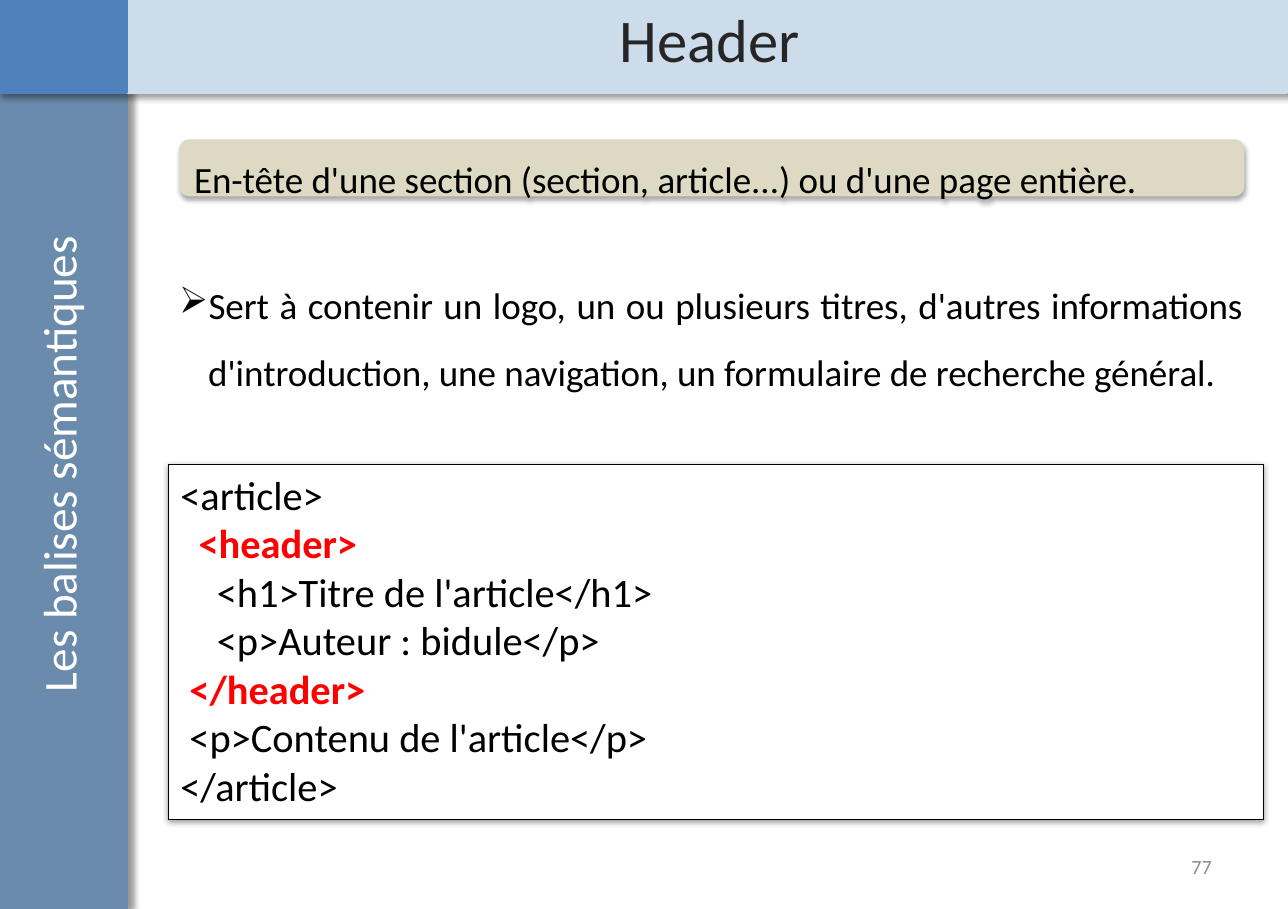
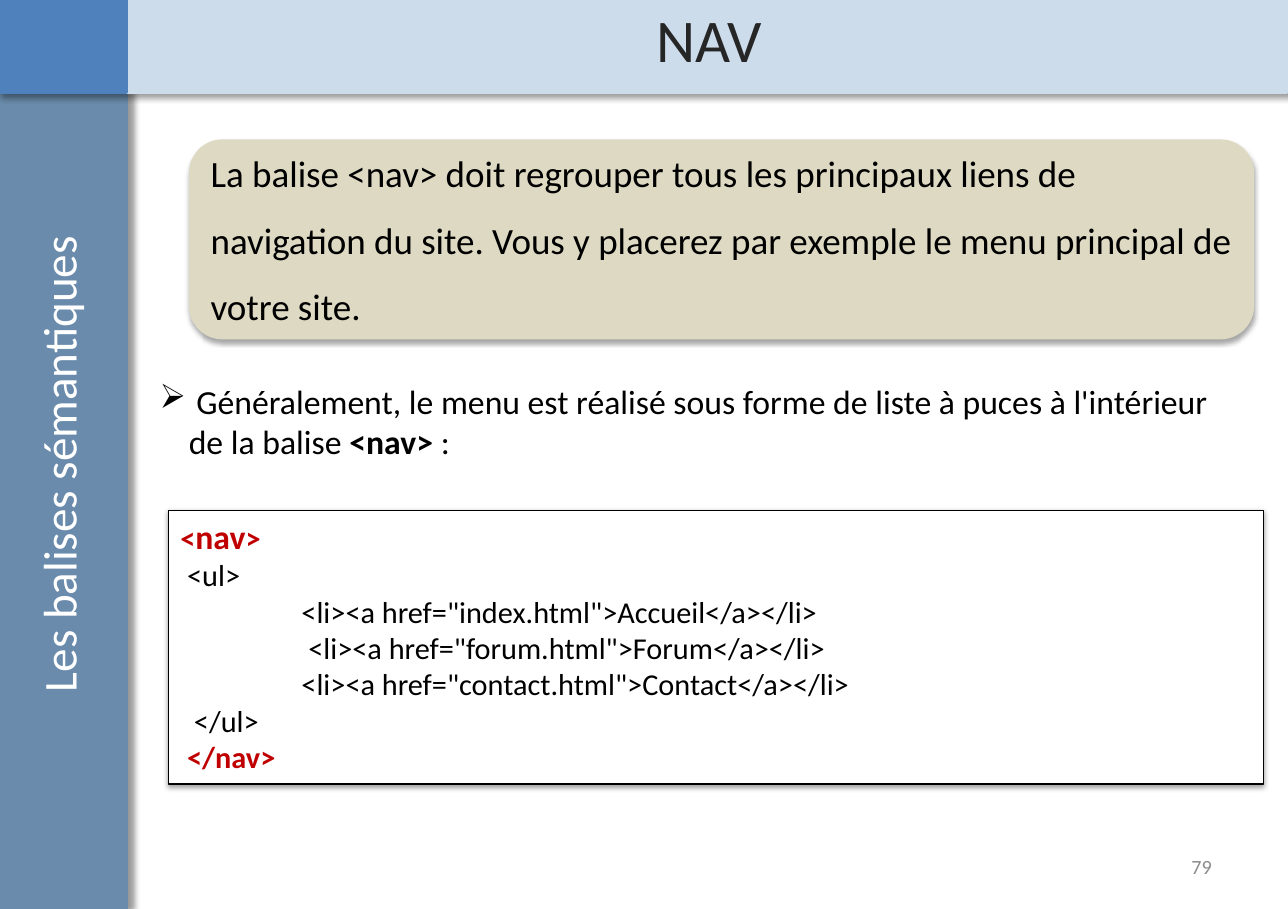
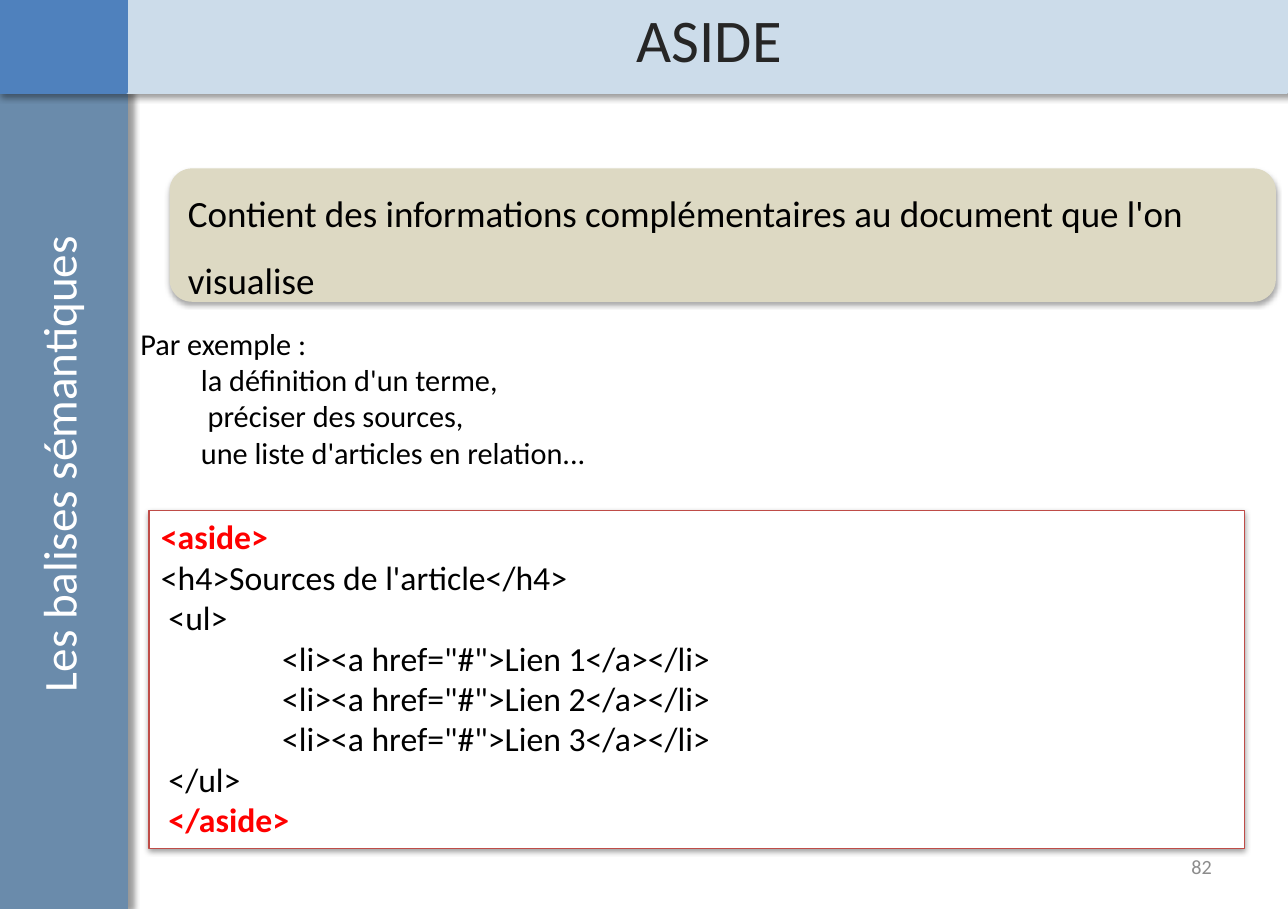
from dataclasses import dataclass

from lxml import etree
from pptx import Presentation
from pptx import util as u
from pptx.dml.color import RGBColor
from pptx.enum import shapes, text
from pptx.oxml.ns import qn


@dataclass(frozen=True)
class Theme:
    font: str = "Calibri"
    side: str = "6A8BAB"
    band: str = "CCDCEA"
    corner: str = "4F81BD"
    callout: str = "DDD9C3"
    paper: str = "FFFFFF"
    ink: str = "000000"
    title: str = "262626"
    number: str = "8C8C8C"
    red: str = "FF0000"
    dark_red: str = "C00000"
    red_border: str = "BF4C48"
    title_size: int = 36
    chapter_size: int = 28
    callout_size: int = 22
    number_size: int = 12


THEME = Theme()

# Content: boxes are left, top, width, height in inches
CHAPTER = "Les balises sémantiques"
SLIDES = [
    {
        "title": "Header", "number": "77", "tag": "header",
        "callout": "En-tête d'une section (section, article...) ou d'une page entière.",
        "callout_box": (1.48, 1.15, 8.79, 0.47),
        "notes": ["Sert à contenir un logo, un ou plusieurs titres, d'autres informations "
                  "d'introduction, une navigation, un formulaire de recherche général."],
        "notes_box": (1.38, 2.1, 8.98, 1.21),
        "notes_size": 22, "bullet": True, "justified": True,
        "code": [
            "<article>",
            "  <header>",
            "    <h1>Titre de l'article</h1>",
            "    <p>Auteur : bidule</p>",
            " </header>",
            " <p>Contenu de l'article</p>",
            "</article>",
        ],
        "code_box": (1.39, 3.83, 9.04, 2.93),
        "code_size": 24, "accent": THEME.red, "border": THEME.ink,
    },
    {
        "title": "NAV", "number": "79", "tag": "nav",
        "callout": "La balise <nav> doit regrouper tous les principaux liens de navigation du site. "
                   "Vous y placerez par exemple le menu principal de votre site.",
        "callout_box": (1.56, 1.15, 8.79, 1.65), "callout_bottom": 0.23,
        "notes": [" Généralement, le menu est réalisé sous forme de liste à puces à l'intérieur "
                  "de la balise <nav> :"],
        "notes_box": (1.22, 3.09, 9.13, 0.77),
        "notes_size": 20, "bullet": True,
        "code": [
            "<nav>",
            " <ul>",
            "\t<li><a href=\"index.html\">Accueil</a></li>",
            "\t <li><a href=\"forum.html\">Forum</a></li>",
            " \t<li><a href=\"contact.html\">Contact</a></li>",
            "  </ul>",
            " </nav>",
        ],
        "code_box": (1.39, 4.21, 9.04, 2.26),
        "code_size": 18, "name_size": 20, "accent": THEME.dark_red, "border": THEME.ink,
    },
    {
        "title": "ASIDE", "number": "82", "tag": "aside",
        "callout": "Contient des informations complémentaires au document que l'on visualise",
        "callout_box": (1.4, 1.39, 9.13, 1.1),
        "notes": ["Par exemple :", "la définition d'un terme,", " préciser des sources,",
                  "une liste d'articles en relation..."],
        "notes_box": (1.06, 2.63, 9.13, 1.31),
        "notes_size": 18,
        "code": [
            "<aside>",
            "<h4>Sources de l'article</h4>",
            " <ul>",
            "\t<li><a href=\"#\">Lien 1</a></li>",
            " \t<li><a href=\"#\">Lien 2</a></li>",
            " \t<li><a href=\"#\">Lien 3</a></li>",
            " </ul>",
            " </aside>",
        ],
        "code_box": (1.23, 4.21, 9.04, 2.79),
        "code_size": 20, "accent": THEME.red, "border": THEME.red_border,
    },
]

# Shared geometry; shadows are opacity %, blur pt, distance pt, angle
SLIDE_SIZE = (10.63, 7.5)
EDGE, SIDE_WIDTH, BAND_HEIGHT = -0.01, 1.05, 0.76
TITLE_BOX = (1.21, 0.06, 9.29, 0.63)
CHAPTER_BOX = (-2.24, 3.51, 5.51, 0.64)
NUMBER_BOX = (7.62, 6.95, 2.48, 0.4)
SIDE_SHADOW, BAND_SHADOW = (40, 4, 3, 0), (40, 4, 3, 45)
CALLOUT_SHADOW, CODE_SHADOW = (35, 3.1, 1.8, 90), (38, 3.1, 1.6, 90)
HANGING, NESTED, TAB_STOP = 0.24, 0.5, 1

RECTANGLE = shapes.MSO_SHAPE.RECTANGLE
ALIGN, ANCHOR = text.PP_ALIGN, text.MSO_ANCHOR


def inches(box):
    return [u.Inches(value) for value in box]


def add_child(parent, tag, **attributes):
    child = etree.SubElement(parent, qn(tag))
    for name, value in attributes.items():
        child.set(name, str(value))
    return child


def style_font(font, size, color=THEME.ink, bold=False):
    font.name, font.size, font.bold = THEME.font, u.Pt(size), bold
    font.color.rgb = RGBColor.from_string(color)


def add_panel(slide, kind, box, fill, line=None, width=2, shadow=None):
    shape = slide.shapes.add_shape(kind, *inches(box))
    shape.fill.solid()
    shape.fill.fore_color.rgb = RGBColor.from_string(fill)
    if line:
        shape.line.color.rgb = RGBColor.from_string(line)
        shape.line.width = u.Pt(width)
    else:
        shape.line.fill.background()
    shape.shadow.inherit = False
    if shadow:
        opacity, blur, distance, angle = shadow
        effects = shape.element.spPr.find(qn("a:effectLst"))
        outer = add_child(effects, "a:outerShdw", blurRad=u.Pt(blur), dist=u.Pt(distance),
                          dir=angle * 60000, rotWithShape=0)
        color = add_child(outer, "a:srgbClr", val=THEME.ink)
        add_child(color, "a:alpha", val=opacity * 1000)
    shape.text_frame.word_wrap = True
    return shape


def add_text(slide, box, anchor=ANCHOR.TOP):
    shape = slide.shapes.add_textbox(*inches(box))
    shape.text_frame.word_wrap = True
    shape.text_frame.vertical_anchor = anchor
    return shape


def new_paragraph(frame, index):
    return frame.add_paragraph() if index else frame.paragraphs[0]


def build_layout(layout, slide):
    """Draw the bands and chapter label, then move them to the layout."""
    for placeholder in list(layout.placeholders):
        if placeholder.placeholder_format.type != shapes.PP_PLACEHOLDER.TITLE:
            placeholder.element.getparent().remove(placeholder.element)
    width, height = SLIDE_SIZE
    bands = [
        ((EDGE, BAND_HEIGHT, SIDE_WIDTH, height - BAND_HEIGHT), THEME.side, SIDE_SHADOW),
        ((EDGE, 0, width, BAND_HEIGHT), THEME.band, BAND_SHADOW),
        ((EDGE, 0, SIDE_WIDTH, BAND_HEIGHT), THEME.corner, None),
    ]
    parts = [add_panel(slide, RECTANGLE, box, color, color, shadow=shadow)
             for box, color, shadow in bands]
    chapter = add_text(slide, CHAPTER_BOX)
    chapter.rotation = 270
    paragraph = chapter.text_frame.paragraphs[0]
    paragraph.text, paragraph.alignment = CHAPTER, ALIGN.CENTER
    style_font(paragraph.font, THEME.chapter_size, THEME.paper)
    for part in parts + [chapter]:
        layout.shapes.element.append(part.element)


def add_title(slide, title):
    shape = slide.shapes.title
    shape.left, shape.top, shape.width, shape.height = inches(TITLE_BOX)
    shape.text_frame.vertical_anchor = ANCHOR.MIDDLE
    paragraph = shape.text_frame.paragraphs[0]
    paragraph.text, paragraph.alignment = title, ALIGN.CENTER
    paragraph.line_spacing = 0.8
    style_font(paragraph.font, THEME.title_size, THEME.title)


def add_number(slide, number):
    paragraph = add_text(slide, NUMBER_BOX, ANCHOR.MIDDLE).text_frame.paragraphs[0]
    paragraph.text, paragraph.alignment = number, ALIGN.RIGHT
    style_font(paragraph.font, THEME.number_size, THEME.number)


def add_callout(slide, content):
    shape = add_panel(slide, shapes.MSO_SHAPE.ROUNDED_RECTANGLE, content["callout_box"],
                      THEME.callout, shadow=CALLOUT_SHADOW)
    shape.text_frame.vertical_anchor = ANCHOR.MIDDLE
    shape.text_frame.margin_bottom = u.Inches(content.get("callout_bottom", 0.05))
    paragraph = shape.text_frame.paragraphs[0]
    paragraph.text, paragraph.alignment = content["callout"], ALIGN.LEFT
    paragraph.line_spacing = 1.5
    style_font(paragraph.font, THEME.callout_size)


def add_code(slide, content):
    frame = add_panel(slide, RECTANGLE, content["code_box"], THEME.paper, content["border"],
                      0.75, CODE_SHADOW).text_frame
    frame.vertical_anchor = ANCHOR.TOP
    tag, size = content["tag"], content["code_size"]
    for index, line in enumerate(content["code"]):
        paragraph = new_paragraph(frame, index)
        paragraph.alignment = ALIGN.LEFT
        tabs = add_child(paragraph._p.get_or_add_pPr(), "a:tabLst")
        add_child(tabs, "a:tab", pos=u.Inches(TAB_STOP), algn="l")
        is_tag = line.strip() in (f"<{tag}>", f"</{tag}>")
        color = content["accent"] if is_tag else THEME.ink
        if is_tag and "/" not in line and "name_size" in content:
            for piece, piece_size in (("<", size), (tag, content["name_size"]), (">", size)):
                run = paragraph.add_run()
                run.text = piece
                style_font(run.font, piece_size, color, True)
        else:
            paragraph.add_run().text = line
            style_font(paragraph.font, size, color, is_tag)


def add_notes_text(slide, content):
    frame = add_text(slide, content["notes_box"]).text_frame
    mark = f"<{content['tag']}>"
    for index, note in enumerate(content["notes"]):
        paragraph = new_paragraph(frame, index)
        properties = paragraph._p.get_or_add_pPr()
        if content.get("justified"):
            paragraph.alignment, paragraph.line_spacing = ALIGN.JUSTIFY, 1.5
        if content.get("bullet"):
            properties.set("marL", str(u.Inches(HANGING)))
            properties.set("indent", str(-u.Inches(HANGING)))
            add_child(properties, "a:buChar", char="➢")
        elif index:
            properties.set("marL", str(u.Inches(NESTED)))
        style_font(paragraph.font, content["notes_size"])
        before, found, after = note.partition(mark)
        for piece in filter(None, (before, found, after)):
            run = paragraph.add_run()
            run.text = piece
            if piece == mark:
                run.font.bold = True


def main():
    presentation = Presentation()
    presentation.slide_width, presentation.slide_height = inches(SLIDE_SIZE)
    layout = presentation.slide_layouts[5]
    for index, content in enumerate(SLIDES):
        slide = presentation.slides.add_slide(layout)
        if index == 0:
            build_layout(layout, slide)
        add_title(slide, content["title"])
        add_number(slide, content["number"])
        add_callout(slide, content)
        add_code(slide, content)
        add_notes_text(slide, content)
    presentation.save("out.pptx")


if __name__ == "__main__":
    main()
